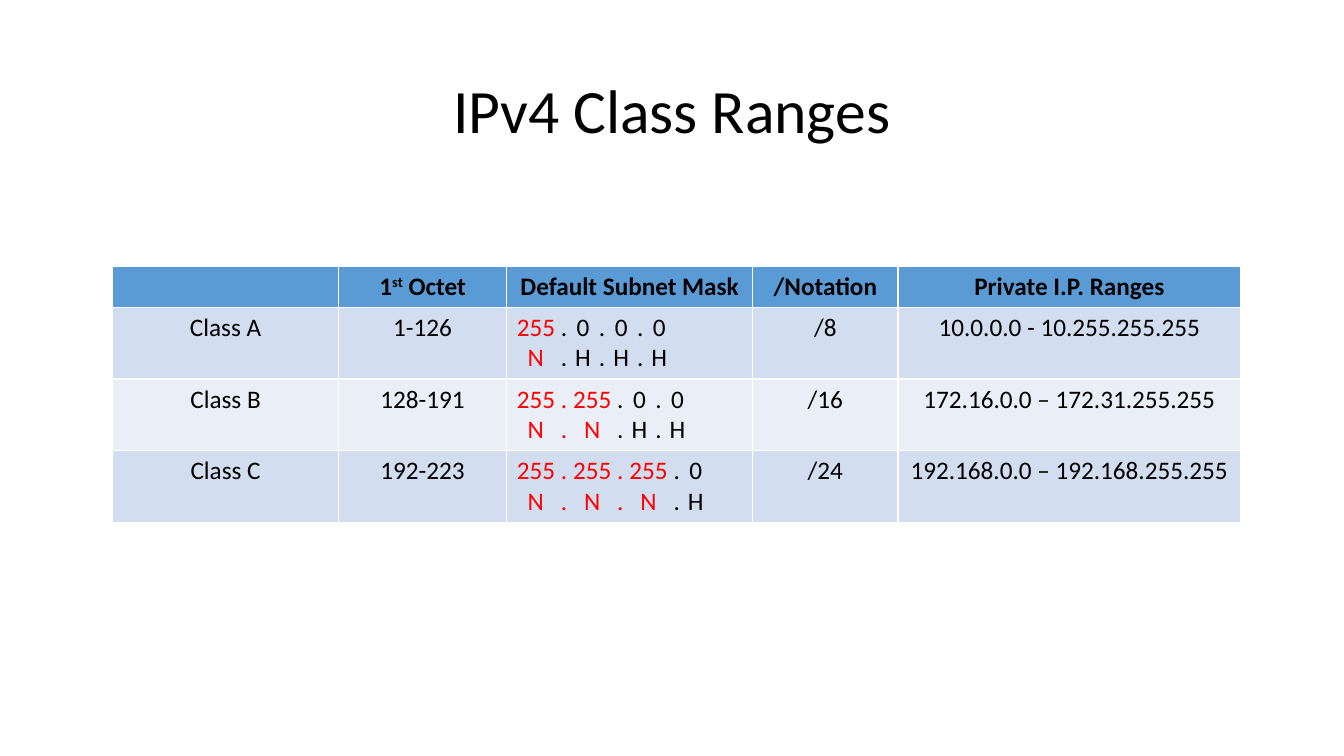
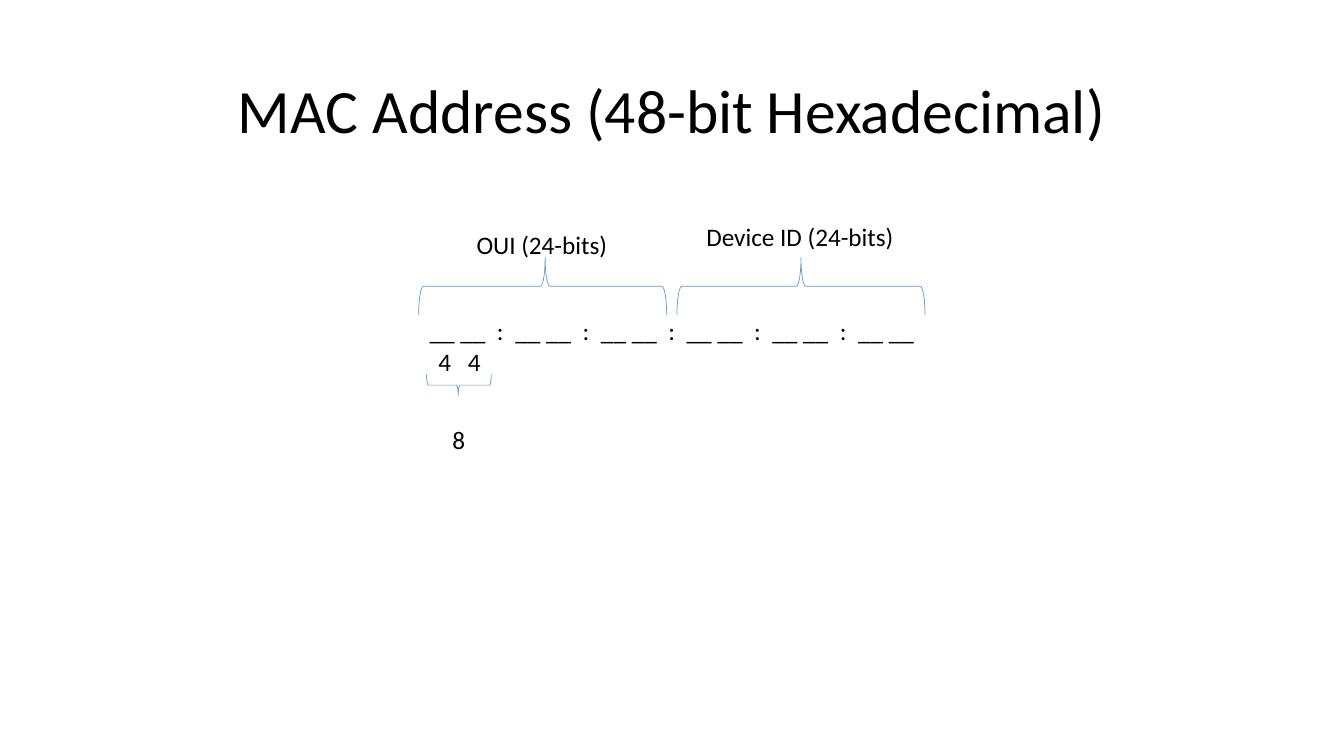
import pptx
import pptx.dml.color
import pptx.enum.shapes
import pptx.enum.text
import pptx.oxml.ns
import pptx.util
from lxml import etree

Cm = pptx.util.Cm
Pt = pptx.util.Pt
ALIGN = pptx.enum.text.PP_ALIGN

FONT = "Calibri"
COLOURS = {
    "text": "000000",
    "network": "FF0000",
    "accent": "5B9BD5",
    "band_dark": "D2DEEF",
    "band_light": "EAEFF7",
}
COLUMN_WIDTHS = [5.69, 4.24, 6.2, 3.66, 8.64]
HEADER_HEIGHT = 1.02
ROW_HEIGHT = 1.81
CLASSES = [
    ("Class A", "1-126", 1, "/8", "10.0.0.0 - 10.255.255.255"),
    ("Class B", "128-191", 2, "/16", "172.16.0.0 – 172.31.255.255"),
    ("Class C", "192-223", 3, "/24", "192.168.0.0 – 192.168.255.255"),
]
OCTETS = 4
FIRST_OCTET = 0.48
NETWORK_HALF = 0.71
HOST_HALF = 0.48
MAC_BYTES = 6
MAC_FIRST = 0.71
MAC_STEP = 1.08


def colour(name):
    """Return the named colour."""
    return pptx.dml.color.RGBColor.from_string(COLOURS[name])


def format_paragraph(paragraph, size=18, align=ALIGN.LEFT):
    """Give a paragraph the shared font, its size and its alignment."""
    paragraph.alignment = align
    paragraph.font.name = FONT
    paragraph.font.size = Pt(size)
    paragraph.font.color.rgb = colour("text")


def add_run(paragraph, text, colour_name="text"):
    """Append a coloured run."""
    run = paragraph.add_run()
    run.text = text
    run.font.color.rgb = colour(colour_name)
    return run


def set_tabs(paragraph, positions):
    """Give a paragraph centred tab stops, in centimetres."""
    namespace = pptx.oxml.ns.qn
    properties = paragraph._p.get_or_add_pPr()
    tab_list = etree.Element(namespace("a:tabLst"))
    for position in positions:
        tab = etree.SubElement(tab_list, namespace("a:tab"))
        tab.set("pos", str(int(Cm(position))))
        tab.set("algn", "ctr")
    default_run = properties.find(namespace("a:defRPr"))
    if default_run is None:
        properties.append(tab_list)
    else:
        default_run.addprevious(tab_list)


def add_titled_slide(presentation, text):
    """Add a slide with the shared title style."""
    slide = presentation.slides.add_slide(presentation.slide_layouts[5])
    title = slide.shapes.title
    title.left, title.top = Cm(2.33), Cm(1.01)
    title.width, title.height = Cm(29.21), Cm(3.68)
    frame = title.text_frame
    frame.text = text
    frame.auto_size = pptx.enum.text.MSO_AUTO_SIZE.NONE
    frame.vertical_anchor = pptx.enum.text.MSO_ANCHOR.MIDDLE
    format_paragraph(frame.paragraphs[0], 44, ALIGN.CENTER)
    frame.paragraphs[0].line_spacing = 0.9
    return slide


def add_label(slide, text, left, top, width, tabs=()):
    """Add a one-line text box, with tab stops where it has columns."""
    box = slide.shapes.add_textbox(Cm(left), Cm(top), Cm(width), Cm(1.03))
    box.text_frame.word_wrap = bool(tabs)
    paragraph = box.text_frame.paragraphs[0]
    format_paragraph(paragraph)
    add_run(paragraph, text)
    if tabs:
        set_tabs(paragraph, tabs)


def add_brace(slide, left, top, width, height, rotation, middle=0.5):
    """Add a thin brace, placed as it stands before it is turned."""
    brace = slide.shapes.add_shape(
        pptx.enum.shapes.MSO_SHAPE.LEFT_BRACE, Cm(left), Cm(top), Cm(width), Cm(height)
    )
    brace.adjustments[1] = middle
    brace.rotation = rotation
    brace.shadow.inherit = False
    brace.fill.background()
    brace.line.color.rgb = colour("accent")
    brace.line.width = Pt(0.5)


def fill_cell(cell, fill, text):
    """Fill a cell and write centred text in it."""
    cell.fill.solid()
    cell.fill.fore_color.rgb = colour(fill)
    paragraph = cell.text_frame.paragraphs[0]
    format_paragraph(paragraph, align=ALIGN.CENTER)
    if text:
        add_run(paragraph, text)
    return paragraph


def mask_tabs(network_count):
    """Return the tab stops of the octets and the dots between them."""
    halves = [NETWORK_HALF if i < network_count else HOST_HALF for i in range(OCTETS)]
    stops = [FIRST_OCTET]
    for before, after in zip(halves, halves[1:]):
        stops.append(stops[-1] + before)
        stops.append(stops[-1] + after)
    return stops


def fill_mask(cell, network_count):
    """Write a subnet mask above its network and host letters."""
    frame = cell.text_frame
    paragraphs = [frame.paragraphs[0], frame.add_paragraph()]
    for paragraph, (network, host) in zip(paragraphs, [("255", "0"), ("N", "H")]):
        format_paragraph(paragraph)
        set_tabs(paragraph, mask_tabs(network_count))
        network_text = "\t" + "\t.\t".join([network] * network_count)
        add_run(paragraph, network_text, "network")
        add_run(paragraph, f"\t.\t{host}" * (OCTETS - network_count))


def add_class_table(slide):
    """Add the table of address classes."""
    table = slide.shapes.add_table(
        len(CLASSES) + 1, len(COLUMN_WIDTHS), Cm(2.84), Cm(6.71),
        Cm(sum(COLUMN_WIDTHS)), Cm(HEADER_HEIGHT + ROW_HEIGHT * len(CLASSES)),
    ).table
    for column, width in zip(table.columns, COLUMN_WIDTHS):
        column.width = Cm(width)
    for index, row in enumerate(table.rows):
        row.height = Cm(ROW_HEIGHT if index else HEADER_HEIGHT)

    headings = ["", "1", "Default Subnet Mask", "/Notation", "Private I.P. Ranges"]
    for column, heading in enumerate(headings):
        paragraph = fill_cell(table.cell(0, column), "accent", heading)
        if heading == "1":
            ordinal = add_run(paragraph, "st")
            ordinal._r.get_or_add_rPr().set("baseline", "30000")
            add_run(paragraph, " Octet")
        for run in paragraph.runs:
            run.font.bold = True

    for row, values in enumerate(CLASSES, start=1):
        band = "band_dark" if row % 2 else "band_light"
        for column, value in enumerate(values):
            cell = table.cell(row, column)
            if isinstance(value, int):
                fill_cell(cell, band, "")
                fill_mask(cell, value)
            else:
                fill_cell(cell, band, value)


def add_mac_diagram(slide):
    """Add the MAC address with its two halves and first byte marked."""
    address = "\t" + "\t:\t".join(["__ __"] * MAC_BYTES)
    stops = [MAC_FIRST + MAC_STEP * i for i in range(2 * MAC_BYTES - 1)]
    add_label(slide, address, 10.57, 7.82, 13.2, stops)
    add_brace(slide, 12.95, 4.09, 1.45, 6.25, 90, 0.49)
    add_brace(slide, 19.46, 4.09, 1.45, 6.25, 90)
    add_label(slide, "OUI (24-bits)", 11.76, 5.66, 3.84)
    add_label(slide, "Device ID (24-bits)", 17.55, 5.44, 5.28)
    add_label(slide, "\t4\t4", 10.8, 8.61, 1.6, [0.14, 0.9])
    add_brace(slide, 11.3, 8.89, 0.53, 1.63, 270, 0.49)
    add_label(slide, "8", 11.15, 10.57, 0.84)


def main():
    """Build and save the presentation."""
    presentation = pptx.Presentation()
    presentation.slide_width = Cm(33.87)
    presentation.slide_height = Cm(19.05)
    add_class_table(add_titled_slide(presentation, "IPv4 Class Ranges"))
    add_mac_diagram(add_titled_slide(presentation, "MAC Address (48-bit Hexadecimal)"))
    presentation.save("out.pptx")


main()
